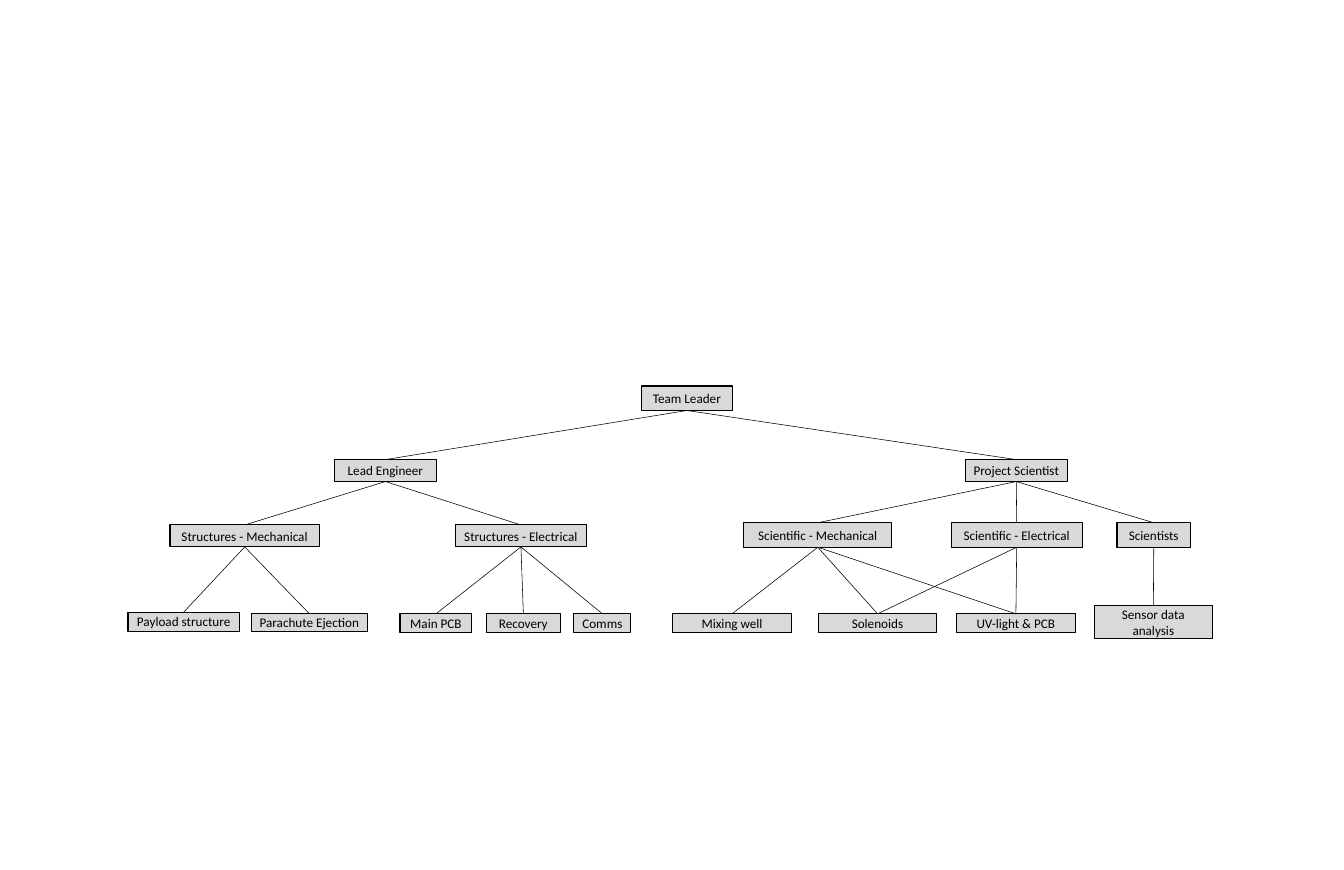
from lxml.etree import SubElement
from pptx import Presentation
from pptx.dml.color import RGBColor
from pptx.enum.shapes import MSO_CONNECTOR, MSO_SHAPE
from pptx.enum.text import MSO_ANCHOR, PP_ALIGN
from pptx.oxml.ns import qn
from pptx.util import Pt

COLORS = {"box": "D9D9D9", "ink": "000000"}
CHART_BOX = (116.6, 351.4)
BOTTOM, TOP = 2, 0

LEVELS = [
    (0, 22.3, [("Team Leader", 467.3, 83.5)]),
    (67, 20, [("Lead Engineer", 188, 92.9), ("Project Scientist", 762.5, 92.9)]),
    (126.5, 20, [("Structures - Mechanical", 38.2, 136.1),
                 ("Structures - Electrical", 298.1, 119.5)]),
    (124.5, 22.3, [("Scientific - Mechanical", 560.9, 134.6),
                   ("Scientific - Electrical", 749.6, 119.5),
                   ("Scientists", 900.7, 67)]),
    (205.9, 17.3, [("Payload structure", 0, 101.5)]),
    (207.4, 15.8, [("Parachute Ejection", 112.3, 105.8)]),
    (207.4, 17.3, [("Main PCB", 247.7, 65.5), ("Recovery", 326.2, 67.7),
                   ("Comms", 406.1, 51.8), ("Mixing well", 496.1, 108),
                   ("Solenoids", 628.6, 108), ("UV-light & PCB", 754.6, 108)]),
    (200.2, 29.5, [("Sensor data analysis", 879.8, 108)]),
]

REPORTS = {
    "Team Leader": ["Lead Engineer", "Project Scientist"],
    "Lead Engineer": ["Structures - Mechanical", "Structures - Electrical"],
    "Project Scientist": ["Scientific - Mechanical", "Scientific - Electrical", "Scientists"],
    "Structures - Mechanical": ["Payload structure", "Parachute Ejection"],
    "Structures - Electrical": ["Main PCB", "Recovery", "Comms"],
    "Scientific - Mechanical": ["Mixing well", "Solenoids", "UV-light & PCB"],
    "Scientific - Electrical": ["Solenoids", "UV-light & PCB"],
    "Scientists": ["Sensor data analysis"],
}


def color(name):
    """Return the named palette colour."""
    return RGBColor.from_string(COLORS[name])


def write_text(frame, text, size=12, font="Calibri", ink="ink", align=PP_ALIGN.CENTER):
    """Fill a text frame with one formatted paragraph."""
    frame.word_wrap = True
    frame.vertical_anchor = MSO_ANCHOR.MIDDLE
    frame.margin_left = frame.margin_right = Pt(6)
    frame.margin_top = frame.margin_bottom = 0
    para = frame.paragraphs[0]
    para.alignment = align
    span = para.add_run()
    span.text = text
    span.font.size = Pt(size)
    span.font.name = font
    span.font.color.rgb = color(ink)


def add_role(page, text, left, top, width, height):
    """Add one labelled role box and return it."""
    role = page.shapes.add_shape(
        MSO_SHAPE.RECTANGLE, Pt(left), Pt(top), Pt(width), Pt(height))
    role.shadow.inherit = False
    role.fill.solid()
    role.fill.fore_color.rgb = color("box")
    role.line.color.rgb = color("ink")
    role.line.width = Pt(1)
    write_text(role.text_frame, text)
    return role


def add_link(page, leader, member):
    """Join the bottom of a leader box to the top of a member box."""
    link = page.shapes.add_connector(MSO_CONNECTOR.STRAIGHT, 0, 0, 0, 0)
    link.begin_connect(leader, BOTTOM)
    link.end_connect(member, TOP)
    link.line.color.rgb = color("ink")
    link.line.width = Pt(0.5)
    SubElement(link._element.spPr, qn("a:effectLst"))


def add_team_chart(page, box):
    """Place the team hierarchy relative to the given corner."""
    left, top = box
    roles = {}
    for offset, height, members in LEVELS:
        for text, start, width in members:
            roles[text] = add_role(page, text, left + start, top + offset, width, height)
    for leader, members in REPORTS.items():
        for member in members:
            add_link(page, roles[leader], roles[member])


def main():
    """Build and save the deck."""
    deck = Presentation()
    deck.slide_width, deck.slide_height = Pt(1224), Pt(792)
    page = deck.slides.add_slide(deck.slide_layouts.get_by_name("Blank"))
    add_team_chart(page, CHART_BOX)
    deck.save("out.pptx")


if __name__ == "__main__":
    main()
